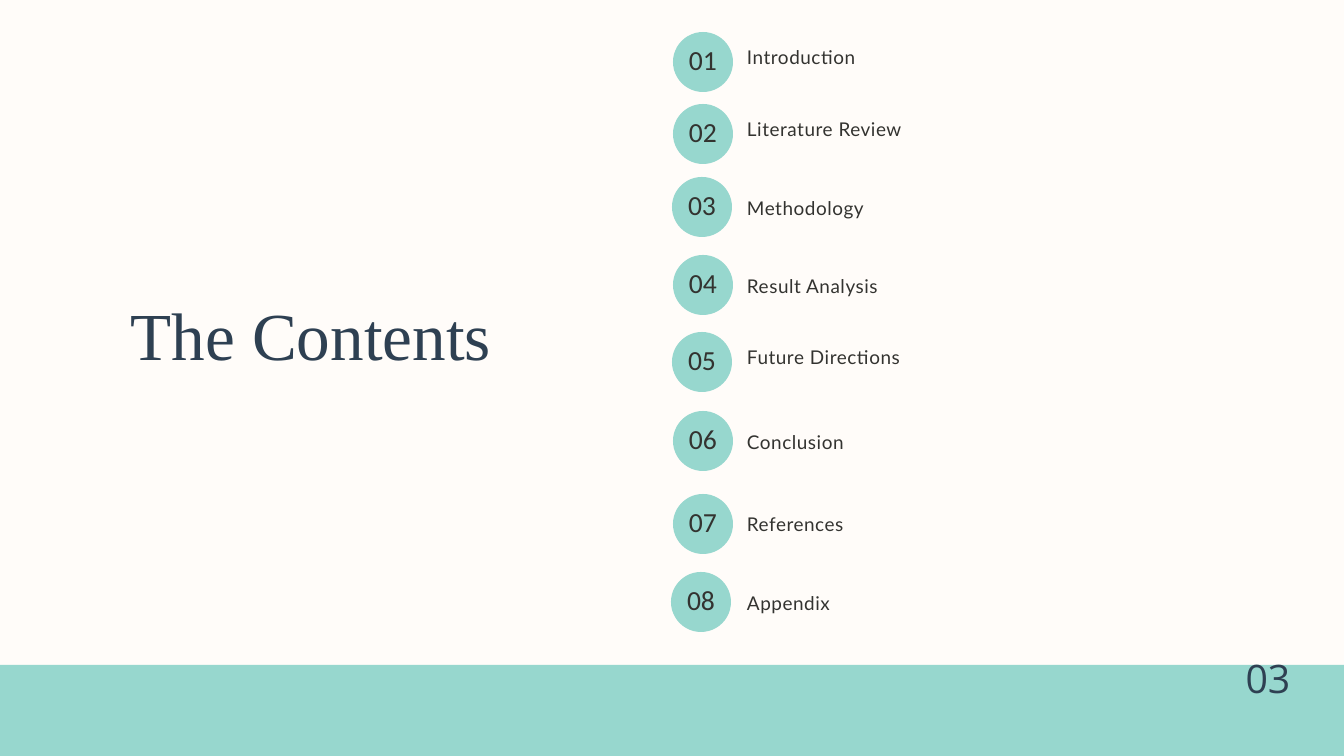
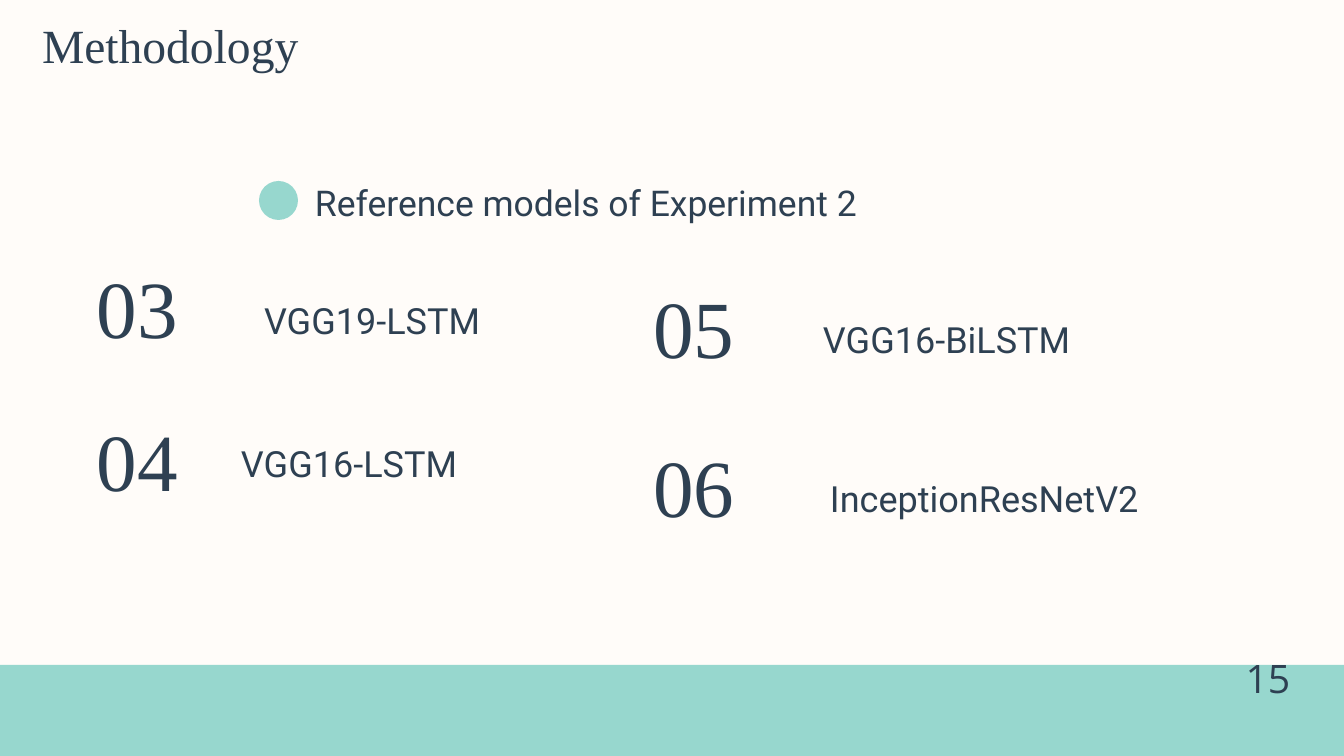
from pptx import Presentation
from pptx.dml.color import RGBColor
from pptx.enum.shapes import MSO_SHAPE as Shape
from pptx.enum.text import MSO_ANCHOR as Anchor, MSO_AUTO_SIZE as AutoSize, PP_ALIGN as Align
from pptx.util import Emu, Pt

COLORS = {"paper": "FFFCF9", "mint": "97D7CE", "navy": "2E4052", "ink": "333330"}

STYLES = {
    "contents title": dict(font="Times New Roman", size=72, leading=79.2),
    "title": dict(font="Times New Roman", size=51, leading=56.1),
    "page": dict(font="Open Sans", size=42, leading=58.8, align=Align.CENTER),
    "badge": dict(font="Calibri", size=29.6, leading=29.6, color="ink", align=Align.CENTER),
    "entry": dict(font="Lato", size=20.3, leading=28.5, color="ink", tracking=60),
    "heading": dict(font="Roboto", size=38, leading=53.2),
    "model number": dict(font="Times New Roman", size=86.9, leading=95.6, align=Align.JUSTIFY),
    "model": dict(font="Roboto", size=38.6, leading=54.1),
}

ENTRIES = [
    ("Introduction", (673, 32), 42),
    ("Literature Review", (673, 104), 114),
    ("Methodology", (672, 177), 193),
    ("Result Analysis", (673, 255), 271),
    ("Future Directions", (672, 332), 342),
    ("Conclusion", (673, 411), 427),
    ("References", (673, 494), 509),
    ("Appendix", (671, 572), 588),
]
BADGE_SIZE = 60
BADGE_INSET = 7
ENTRY_LEFT = 747

HEADING = "Reference models of Experiment 2"
FIRST_MODEL = 3
MODELS = [
    ("VGG19-LSTM", (97, 265), (264, 291)),
    ("VGG16-LSTM", (97, 418), (241, 434)),
    ("VGG16-BiLSTM", (653, 285), (823, 310)),
    ("InceptionResNetV2", (653, 444), (830, 469)),
]

WIDTH, HEIGHT = 1344, 756


def px(value):
    return Emu(round(value * 914400 / 67.2))


def rgb(name):
    return RGBColor.from_string(COLORS[name])


def write(shape, text, font, size, leading, color="navy", align=Align.LEFT, tracking=0):
    frame = shape.text_frame
    frame.margin_left = frame.margin_right = frame.margin_top = frame.margin_bottom = 0
    frame.word_wrap = True
    frame.auto_size = AutoSize.NONE
    frame.vertical_anchor = Anchor.TOP
    frame.text = text
    paragraph = frame.paragraphs[0]
    paragraph.alignment = align
    paragraph.line_spacing = Pt(leading)
    run = paragraph.runs[0]
    run.font.name = font
    run.font.size = Pt(size)
    run.font.color.rgb = rgb(color)
    if tracking:
        run.font._element.set("spc", str(tracking))


def add_text(slide, text, style, left, top, width, height):
    box = slide.shapes.add_textbox(px(left), px(top), px(width), px(height))
    write(box, text, **STYLES[style])


def add_mint(slide, kind, left, top, width, height):
    shape = slide.shapes.add_shape(kind, px(left), px(top), px(width), px(height))
    shape.shadow.inherit = False
    shape.fill.solid()
    shape.fill.fore_color.rgb = rgb("mint")
    shape.line.fill.background()


def add_page(presentation, title, style, box, number):
    slide = presentation.slides.add_slide(presentation.slide_layouts[5])
    heading = slide.shapes.title
    heading.left, heading.top, heading.width, heading.height = map(px, box)
    write(heading, title, **STYLES[style])
    add_mint(slide, Shape.RECTANGLE, -21, 665, 1392, 112)
    add_text(slide, f"{number:02}", "page", 1245, 646, 46, 52)
    return slide


def build_contents(presentation):
    slide = add_page(presentation, "The Contents", "contents title", (131, 300, 542, 76), 3)
    for number, (entry, (left, top), entry_top) in enumerate(ENTRIES, 1):
        add_mint(slide, Shape.OVAL, left, top, BADGE_SIZE, BADGE_SIZE)
        add_text(slide, f"{number:02}", "badge", left + BADGE_INSET, top + 16,
                 BADGE_SIZE - 2 * BADGE_INSET, 31)
        add_text(slide, entry, "entry", ENTRY_LEFT, entry_top, 266, 25)


def build_methodology(presentation):
    slide = add_page(presentation, "Methodology", "title", (42, 21, 407, 54), 15)
    add_mint(slide, Shape.OVAL, 259, 181, 39, 39)
    add_text(slide, HEADING, "heading", 315, 174, 732, 46)
    for number, (model, number_at, model_at) in enumerate(MODELS, FIRST_MODEL):
        add_text(slide, f"{number:02}", "model number", *number_at, 104, 93)
        add_text(slide, model, "model", *model_at, 420, 48)


def main():
    presentation = Presentation()
    presentation.slide_width, presentation.slide_height = px(WIDTH), px(HEIGHT)
    background = presentation.slide_master.background.fill
    background.solid()
    background.fore_color.rgb = rgb("paper")
    build_contents(presentation)
    build_methodology(presentation)
    presentation.save("out.pptx")


if __name__ == "__main__":
    main()
